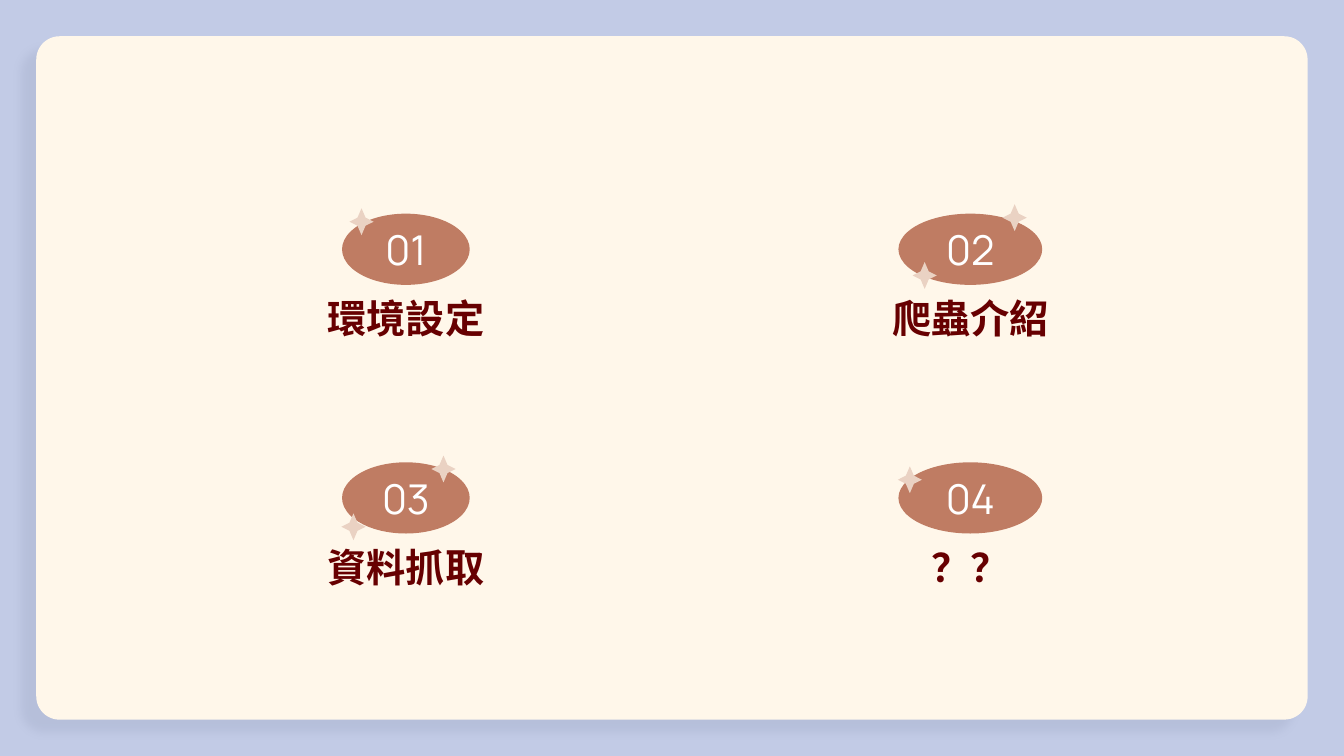
import lxml.etree
import pptx
import pptx.dml.color
import pptx.enum.shapes
import pptx.enum.text
import pptx.oxml.ns
import pptx.util

RGBColor = pptx.dml.color.RGBColor
BACKGROUND = RGBColor(0xC2, 0xCB, 0xE6)
CARD = RGBColor(0xFF, 0xF7, 0xEA)
BADGE = RGBColor(0xBF, 0x7C, 0x63)
STAR = RGBColor(0xEA, 0xD2, 0xC3)
LABEL = RGBColor(0x67, 0x00, 0x01)
WHITE = RGBColor(0xFF, 0xFF, 0xFF)
SHADOW = RGBColor(0x51, 0x5B, 0x7A)

SLIDE_WIDTH = 10
SLIDE_HEIGHT = SLIDE_WIDTH * 9 / 16
MARGIN = 0.27
COLUMN_CENTERS = (3.02, 7.22)
BADGE_WIDTHS = (0.95, 1.07)
NUMBER_WIDTHS = (0.58, 0.65)
ROW_TOPS = (1.59, 3.44)
BADGE_HEIGHT = 0.53
NUMBER_OFFSET = 0.11
LABEL_OFFSET = 0.6
STAR_OUTLINE = (
    (0, -0.1), (-0.03, -0.03), (-0.09, 0), (-0.03, 0.03),
    (0, 0.1), (0.03, 0.03), (0.09, 0), (0.03, -0.03),
)
TOPICS = (
    ("01", "環境設定", ((-0.33, 0.06),)),
    ("02", "爬蟲介紹", ((0.33, 0.03), (-0.34, 0.46))),
    ("03", "資料抓取", ((0.28, 0.05), (-0.39, 0.48))),
    ("04", "？？", ((-0.45, 0.13),)),
)


def set_solid(shape, color):
    shape.shadow.inherit = False
    shape.fill.solid()
    shape.fill.fore_color.rgb = color
    shape.line.fill.background()


def add_solid_shape(slide, kind, left, top, width, height, color):
    box = [pptx.util.Inches(length) for length in (left, top, width, height)]
    shape = slide.shapes.add_shape(kind, *box)
    set_solid(shape, color)
    return shape


def add_card(slide):
    card = add_solid_shape(
        slide, pptx.enum.shapes.MSO_SHAPE.ROUNDED_RECTANGLE, MARGIN, MARGIN,
        SLIDE_WIDTH - 2 * MARGIN, SLIDE_HEIGHT - 2 * MARGIN, CARD)
    card.adjustments[0] = 0.034
    qn = pptx.oxml.ns.qn
    effects = card._element.spPr.find(qn("a:effectLst"))
    shadow = lxml.etree.SubElement(
        effects, qn("a:outerShdw"), blurRad=str(pptx.util.Pt(4.5)),
        dist=str(pptx.util.Pt(10.5)), dir=str(137 * 60000),
        algn="bl", rotWithShape="0")
    color = lxml.etree.SubElement(shadow, qn("a:srgbClr"), val=str(SHADOW))
    lxml.etree.SubElement(color, qn("a:alpha"), val="10000")


def add_text(slide, text, center_x, top, width, height, font_name, size, color, bold=False):
    box = [pptx.util.Inches(length) for length in (center_x - width / 2, top, width, height)]
    frame = slide.shapes.add_textbox(*box).text_frame
    frame.word_wrap = True
    frame.margin_left = frame.margin_right = frame.margin_top = frame.margin_bottom = 0
    paragraph = frame.paragraphs[0]
    paragraph.alignment = pptx.enum.text.PP_ALIGN.CENTER
    run = paragraph.add_run()
    run.text = text
    run.font.name = font_name
    run.font.size = pptx.util.Pt(size)
    run.font.bold = bold
    run.font.color.rgb = color
    lxml.etree.SubElement(
        run.font._element, pptx.oxml.ns.qn("a:ea"), typeface=font_name)
    return frame


def add_badge(slide, number, column, top):
    center_x, width = COLUMN_CENTERS[column], BADGE_WIDTHS[column]
    add_solid_shape(
        slide, pptx.enum.shapes.MSO_SHAPE.OVAL, center_x - width / 2,
        top, width, BADGE_HEIGHT, BADGE)
    frame = add_text(
        slide, number, center_x, top + NUMBER_OFFSET, NUMBER_WIDTHS[column], 0.31,
        "Manrope", 22, WHITE)
    frame.vertical_anchor = pptx.enum.text.MSO_ANCHOR.MIDDLE


def add_label(slide, text, center_x, top):
    frame = add_text(
        slide, text, center_x, top, 3.59, 0.37, "Noto Sans CJK SC", 21, LABEL, True)
    frame.paragraphs[0].space_after = pptx.util.Pt(12)


def add_star(slide, center_x, center_y):
    points = [
        (pptx.util.Inches(center_x + x), pptx.util.Inches(center_y + y))
        for x, y in STAR_OUTLINE
    ]
    builder = slide.shapes.build_freeform(*points[0])
    builder.add_line_segments(points[1:], close=True)
    set_solid(builder.convert_to_shape(), STAR)


def add_topic(slide, index, number, label, stars):
    row, column = divmod(index, len(COLUMN_CENTERS))
    center_x, top = COLUMN_CENTERS[column], ROW_TOPS[row]
    add_badge(slide, number, column, top)
    add_label(slide, label, center_x, top + LABEL_OFFSET)
    for offset_x, offset_y in stars:
        add_star(slide, center_x + offset_x, top + offset_y)


def main():
    presentation = pptx.Presentation()
    presentation.slide_width = pptx.util.Inches(SLIDE_WIDTH)
    presentation.slide_height = pptx.util.Inches(SLIDE_HEIGHT)
    slide = presentation.slides.add_slide(presentation.slide_layouts[6])
    slide.background.fill.solid()
    slide.background.fill.fore_color.rgb = BACKGROUND
    add_card(slide)
    for index, topic in enumerate(TOPICS):
        add_topic(slide, index, *topic)
    presentation.save("out.pptx")


if __name__ == "__main__":
    main()
